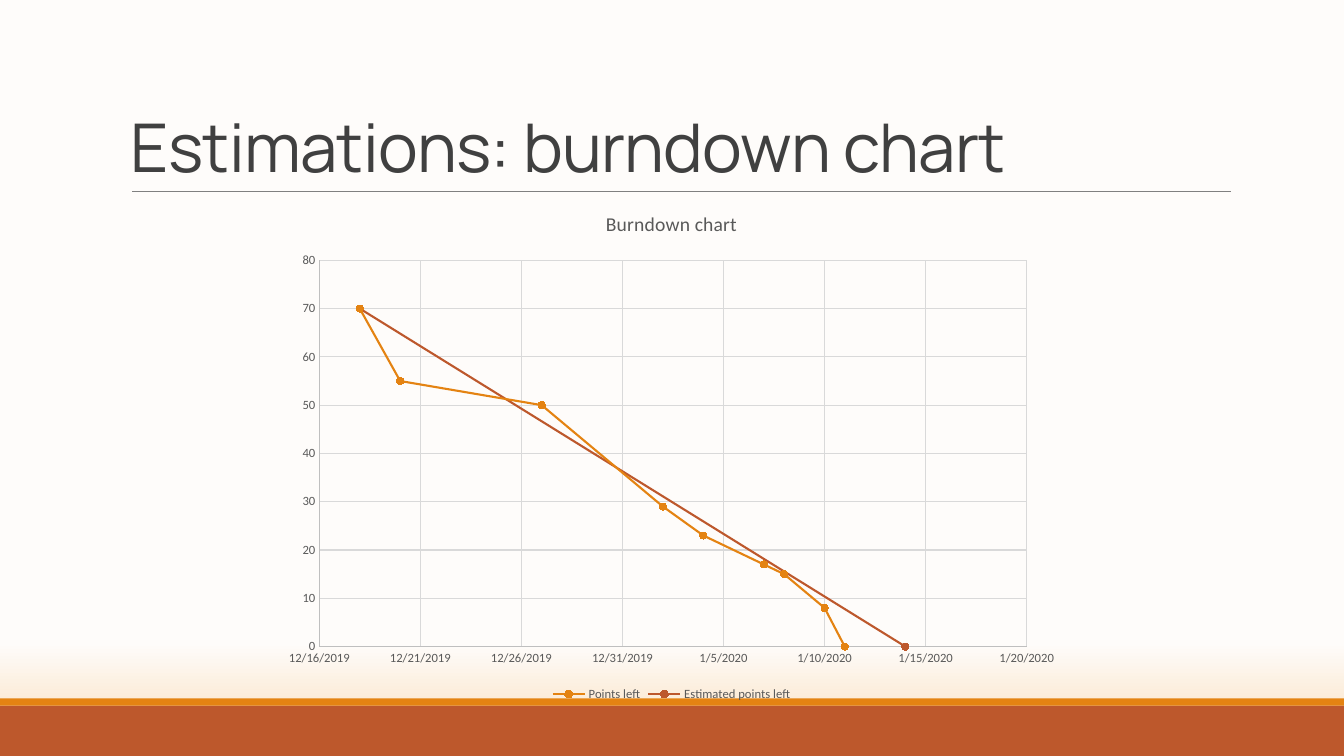
from dataclasses import dataclass

from lxml import etree
from pptx import Presentation
from pptx.chart.data import XyChartData
from pptx.dml.color import RGBColor
from pptx.enum.chart import (XL_CHART_TYPE, XL_LEGEND_POSITION, XL_MARKER_STYLE,
                             XL_TICK_MARK)
from pptx.enum.shapes import MSO_CONNECTOR, MSO_SHAPE
from pptx.enum.text import MSO_ANCHOR, MSO_AUTO_SIZE, PP_ALIGN
from pptx.oxml.ns import qn
from pptx.util import Emu, Pt

SCATTER_LINES = XL_CHART_TYPE.XY_SCATTER_LINES
LEGEND_BOTTOM = XL_LEGEND_POSITION.BOTTOM
CIRCLE = XL_MARKER_STYLE.CIRCLE
NO_TICK = XL_TICK_MARK.NONE
STRAIGHT = MSO_CONNECTOR.STRAIGHT
RECTANGLE = MSO_SHAPE.RECTANGLE
BOTTOM = MSO_ANCHOR.BOTTOM
NO_AUTOFIT = MSO_AUTO_SIZE.NONE
LEFT = PP_ALIGN.LEFT

EMU_PER_PX = 9525
TITLE_ONLY = 5
AXIS_START, AXIS_END, AXIS_STEP = 43815, 43850, 5
START_DAY = 43817
POINTS_LEFT = [(0, 70), (2, 55), (9, 50), (15, 29), (17, 23),
               (20, 17), (21, 15), (23, 8), (24, 0)]
ESTIMATED_LEFT = [(0, 70), (27, 0)]


@dataclass(frozen=True)
class Theme:
    """Colours, fonts and type sizes of the slide."""
    paper: str = "FEFCFA"
    glow: str = "F9DAB6"
    orange: str = "E48312"
    rust: str = "BD582C"
    rule: str = "808080"
    heading: str = "404040"
    label: str = "595959"
    axis: str = "BFBFBF"
    grid: str = "D9D9D9"
    heading_font: str = "Manrope"
    body_font: str = "Calibri"
    heading_size: int = 48
    chart_title_size: int = 14
    label_size: int = 9


THEME = Theme()


def px(length):
    """Turn pixels into EMU."""
    return Emu(length * EMU_PER_PX)


def rgb(value):
    """Turn a hex string into a colour."""
    return RGBColor.from_string(value)


def style_font(font, name, size, color):
    """Set the face, size and colour of a font."""
    font.name, font.size, font.bold = name, Pt(size), False
    font.color.rgb = rgb(color)


def style_line(line, color, width):
    """Set the colour and width of a line."""
    line.color.rgb = rgb(color)
    line.width = Pt(width)


def paint_background(slide):
    """Fade the foot of the slide into a warm glow."""
    fill = slide.background.fill
    fill.gradient()
    fill.gradient_angle = 270
    stops = ((0.85, THEME.paper), (1, THEME.glow))
    for stop, (position, color) in zip(fill.gradient_stops, stops):
        stop.position = position
        stop.color.rgb = rgb(color)


def add_band(slide, top, height, color):
    """Add a full-width colour band."""
    band = slide.shapes.add_shape(RECTANGLE, 0, px(top), px(1280), px(height))
    band.shadow.inherit = False
    band.fill.solid()
    band.fill.fore_color.rgb = rgb(color)
    band.line.fill.background()


def add_rule(slide, left, right, y):
    """Add the thin horizontal rule below the title."""
    rule = slide.shapes.add_connector(STRAIGHT, px(left), px(y), px(right), px(y))
    style_line(rule.line, THEME.rule, 0.5)
    etree.SubElement(rule._element.spPr, qn("a:effectLst"))


def set_title(slide, text):
    """Place and format the title placeholder."""
    title = slide.shapes.title
    title.left, title.top, title.width, title.height = map(px, (115, 30, 1056, 152))
    frame = title.text_frame
    frame.auto_size = NO_AUTOFIT
    frame.word_wrap = True
    frame.vertical_anchor = BOTTOM
    paragraph = frame.paragraphs[0]
    paragraph.alignment = LEFT
    paragraph.line_spacing = 0.85
    run = paragraph.add_run()
    run.text = text
    style_font(run.font, THEME.heading_font, THEME.heading_size, THEME.heading)
    run.font._element.set("spc", "-50")


def style_axis(axis, low, high, step, number_format):
    """Set the scale, grid and labels of an axis."""
    axis.minimum_scale, axis.maximum_scale, axis.major_unit = low, high, step
    axis.major_tick_mark = axis.minor_tick_mark = NO_TICK
    axis.has_major_gridlines = True
    style_line(axis.major_gridlines.format.line, THEME.grid, 0.75)
    style_line(axis.format.line, THEME.axis, 0.75)
    labels = axis.tick_labels
    labels.number_format = number_format
    labels.number_format_is_linked = False
    style_font(labels.font, THEME.body_font, THEME.label_size, THEME.label)


def style_series(series, color):
    """Draw a series as a straight line with round markers."""
    series.smooth = False
    style_line(series.format.line, color, 1.5)
    marker = series.marker
    marker.style, marker.size = CIRCLE, 5
    marker.format.fill.solid()
    marker.format.fill.fore_color.rgb = rgb(color)
    style_line(marker.format.line, color, 0.75)


def add_burndown_chart(slide):
    """Add the chart of points left against the estimate."""
    data = XyChartData()
    for name, points in (("Points left", POINTS_LEFT),
                         ("Estimated points left", ESTIMATED_LEFT)):
        series = data.add_series(name)
        for day, left in points:
            series.add_data_point(START_DAY + day, left)
    chart = slide.shapes.add_chart(SCATTER_LINES, px(260), px(182), px(759),
                                   px(490), data).chart
    style_font(chart.font, THEME.body_font, THEME.label_size, THEME.label)
    chart.has_title = True
    chart.chart_title.include_in_layout = False
    heading = chart.chart_title.text_frame.paragraphs[0].add_run()
    heading.text = "Burndown chart"
    style_font(heading.font, THEME.body_font, THEME.chart_title_size, THEME.label)
    chart.has_legend = True
    chart.legend.position = LEGEND_BOTTOM
    chart.legend.include_in_layout = False
    style_font(chart.legend.font, THEME.body_font, THEME.label_size, THEME.label)
    style_axis(chart.category_axis, AXIS_START, AXIS_END, AXIS_STEP, "m/d/yyyy")
    style_axis(chart.value_axis, 0, 80, 10, "General")
    plot = chart.plots[0]
    plot.vary_by_categories = False
    for series, color in zip(plot.series, (THEME.orange, THEME.rust)):
        style_series(series, color)


def main():
    """Build and save the burndown slide."""
    deck = Presentation()
    deck.slide_width, deck.slide_height = px(1280), px(720)
    slide = deck.slides.add_slide(deck.slide_layouts[TITLE_ONLY])
    paint_background(slide)
    add_band(slide, 672, 48, THEME.rust)
    add_band(slide, 665, 7, THEME.orange)
    add_rule(slide, 126, 1172, 182)
    set_title(slide, "Estimations: burndown chart")
    add_burndown_chart(slide)
    deck.save("out.pptx")


if __name__ == "__main__":
    main()
